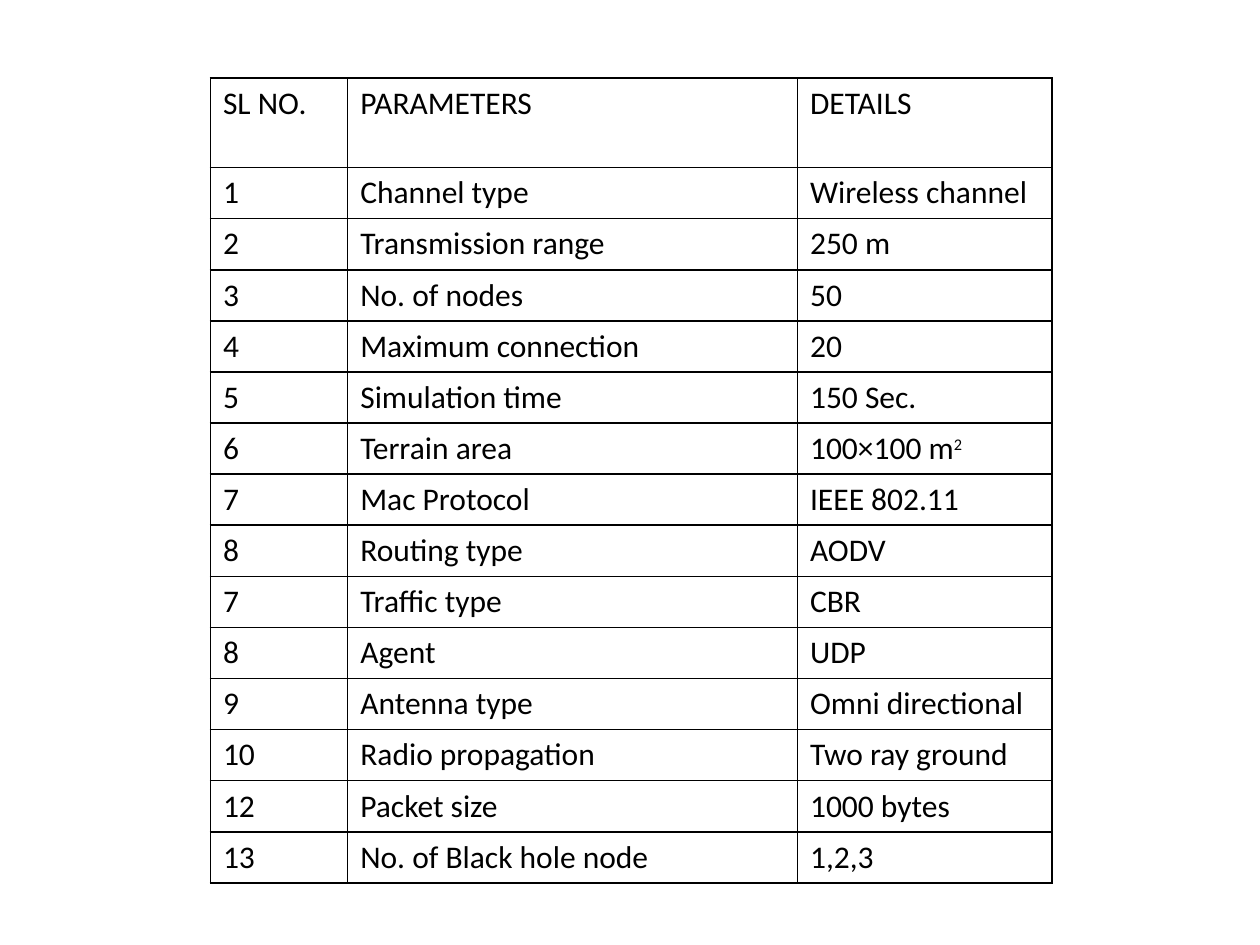
from pptx import Presentation
from pptx.dml.color import RGBColor
from pptx.oxml import parse_xml
from pptx.oxml.ns import nsdecls
from pptx.util import Inches, Pt

COLORS = {"text": "000000", "border": "000000", "background": "FFFFFF"}
COLUMN_WIDTHS = (1.09, 3.57, 2.02)
HEADER_HEIGHT = 0.71
ROW_HEIGHT = 0.4
HEADINGS = ("SL NO.", "PARAMETERS", "DETAILS")
PARAMETERS = (
    ("1", "Channel type", "Wireless channel"),
    ("2", "Transmission range", "250 m"),
    ("3", "No. of nodes", "50"),
    ("4", "Maximum connection", "20"),
    ("5", "Simulation time", "150 Sec."),
    ("6", "Terrain area", ("100×100 m", "2")),
    ("7", "Mac Protocol", "IEEE 802.11"),
    ("8", "Routing type", "AODV"),
    ("7", "Traffic type", "CBR"),
    ("8", "Agent", "UDP"),
    ("9", "Antenna type", "Omni directional"),
    ("10", "Radio propagation", "Two ray ground"),
    ("12", "Packet size", "1000 bytes"),
    ("13", "No. of Black hole node", "1,2,3"),
)


class SlideBuilder:
    """Hold the style and the current slide, and draw its elements."""

    def __init__(self, slide, font_name="Calibri", font_size=18):
        self.slide = slide
        self.font_name = font_name
        self.font_size = font_size

    def add_run(self, paragraph, text, superscript=False):
        run = paragraph.add_run()
        run.text = text
        run.font.name = self.font_name
        run.font.size = Pt(self.font_size - 2 if superscript else self.font_size)
        run.font.bold = False
        run.font.color.rgb = RGBColor.from_string(COLORS["text"])
        if superscript:
            run.font._element.set("baseline", "30000")

    def add_borders(self, cell, width=1):
        properties = cell._tc.get_or_add_tcPr()
        for side in ("lnL", "lnR", "lnT", "lnB"):
            properties.append(parse_xml(
                f'<a:{side} {nsdecls("a")} w="{Pt(width)}"><a:solidFill>'
                f'<a:srgbClr val="{COLORS["border"]}"/></a:solidFill></a:{side}>'
            ))

    def fill_cell(self, cell, content):
        self.add_borders(cell)
        cell.fill.solid()
        cell.fill.fore_color.rgb = RGBColor.from_string(COLORS["background"])
        texts = (content,) if isinstance(content, str) else content
        paragraph = cell.text_frame.paragraphs[0]
        for index, text in enumerate(texts):
            self.add_run(paragraph, text, superscript=index > 0)

    def add_table(self, left, top, rows):
        heights = [HEADER_HEIGHT] + [ROW_HEIGHT] * (len(rows) - 1)
        table = self.slide.shapes.add_table(
            len(rows), len(COLUMN_WIDTHS), Inches(left), Inches(top),
            Inches(sum(COLUMN_WIDTHS)), Inches(sum(heights)),
        ).table
        table.first_row = False
        table.horz_banding = False
        for column, width in zip(table.columns, COLUMN_WIDTHS):
            column.width = Inches(width)
        for row, height, contents in zip(table.rows, heights, rows):
            row.height = Inches(height)
            for cell, content in zip(row.cells, contents):
                self.fill_cell(cell, content)


def main():
    presentation = Presentation()
    presentation.slide_width = Inches(10)
    presentation.slide_height = Inches(7.5)
    slide = presentation.slides.add_slide(presentation.slide_layouts[6])
    builder = SlideBuilder(slide)
    builder.add_table(1.67, 0.62, (HEADINGS, *PARAMETERS))
    presentation.save("out.pptx")


if __name__ == "__main__":
    main()
